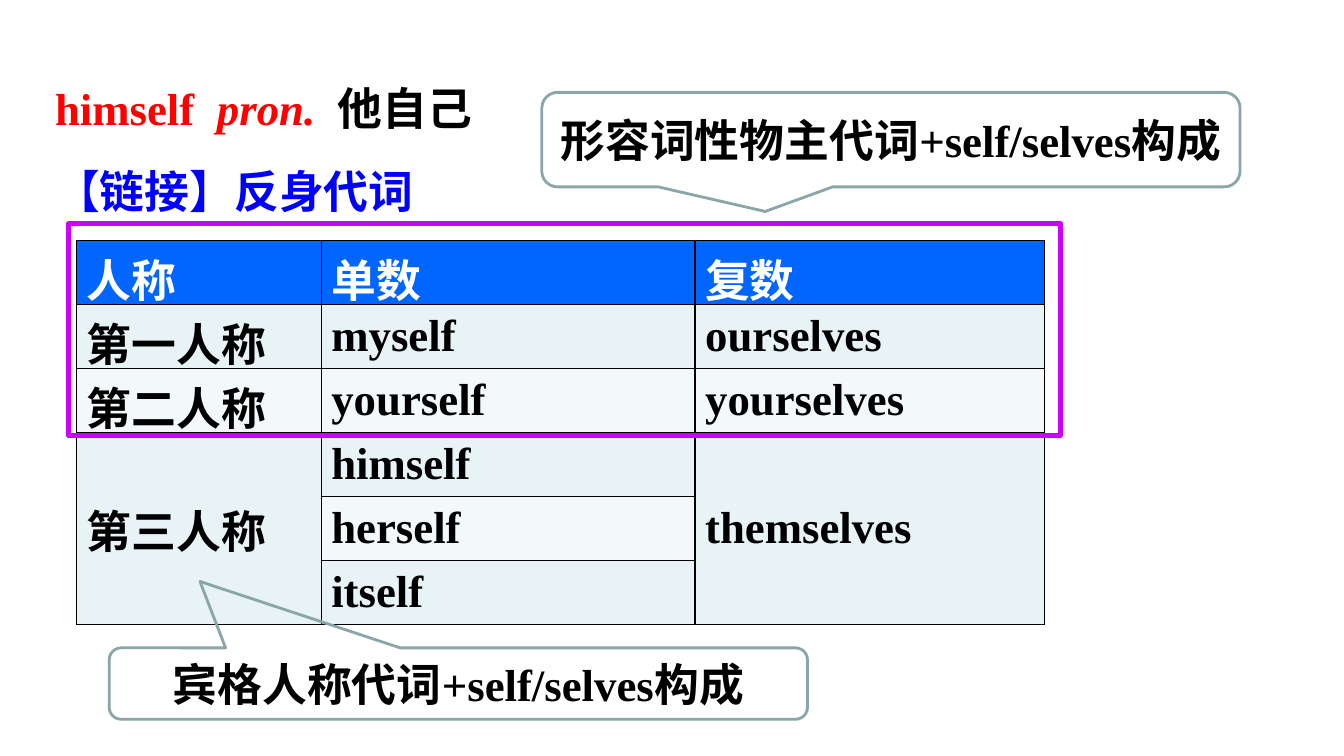
import pptx
import pptx.dml.color
import pptx.enum.shapes
import pptx.enum.text
import pptx.oxml
import pptx.oxml.ns
import pptx.util
from dataclasses import dataclass

PX = 9525  # EMU in one px


@dataclass(frozen=True)
class Theme:
    font: str = "Times New Roman"
    size: int = 32
    black: str = "000000"
    white: str = "FFFFFF"
    red: str = "FF0000"
    blue: str = "0000FF"
    header: str = "0066FF"
    band_dark: str = "E7F3F4"
    band_light: str = "F3F9FA"
    frame: str = "CC00FF"
    callout: str = "8AA6A8"


def px(n):
    return pptx.util.Emu(n * PX)


def rgb(color):
    return pptx.dml.color.RGBColor.from_string(color)


class Deck:
    def __init__(self, theme):
        self.theme = theme
        self.prs = pptx.Presentation()
        self.prs.slide_width, self.prs.slide_height = px(1280), px(720)
        self.s = self.prs.slides.add_slide(self.prs.slide_layouts[6])

    def run(self, p, text, color, italic=False):
        r = p.add_run()
        r.text = text
        r.font.name = self.theme.font
        r.font.size = pptx.util.Pt(self.theme.size)
        r.font.bold, r.font.italic = True, italic
        r.font.color.rgb = rgb(color)

    def text(self, box, runs):
        tf = self.s.shapes.add_textbox(*map(px, box)).text_frame
        tf.word_wrap = True
        tf.auto_size = pptx.enum.text.MSO_AUTO_SIZE.SHAPE_TO_FIT_TEXT
        p = tf.paragraphs[0]
        p.line_spacing = 1.2
        for run in runs:
            self.run(p, *run)

    def outline(self, kind, box, color, width):
        sp = self.s.shapes.add_shape(kind, *map(px, box))
        sp.shadow.inherit = False
        sp.fill.background()
        sp.line.color.rgb = rgb(color)
        sp.line.width = pptx.util.Pt(width)
        return sp

    def callout(self, box, tip, text):
        kind = pptx.enum.shapes.MSO_SHAPE.ROUNDED_RECTANGULAR_CALLOUT
        sp = self.outline(kind, box, self.theme.callout, 2)
        sp.adjustments[0], sp.adjustments[1] = tip
        tf = sp.text_frame
        tf.word_wrap = True
        tf.vertical_anchor = pptx.enum.text.MSO_ANCHOR.MIDDLE
        p = tf.paragraphs[0]
        p.alignment = pptx.enum.text.PP_ALIGN.CENTER
        self.run(p, text, self.theme.black)

    def borders(self, cell):
        tc_pr = cell._tc.get_or_add_tcPr()
        for i, side in enumerate(("lnL", "lnR", "lnT", "lnB")):
            tc_pr.insert(i, pptx.oxml.parse_xml(
                f'<a:{side} {pptx.oxml.ns.nsdecls("a")} w="12700"><a:solidFill>'
                f'<a:srgbClr val="{self.theme.black}"/></a:solidFill></a:{side}>'))

    def table(self, left, top, widths, row_height, rows, merges):
        t = self.theme
        table = self.s.shapes.add_table(
            len(rows), len(widths), px(left), px(top),
            px(sum(widths)), px(row_height * len(rows))).table
        for column, width in zip(table.columns, widths):
            column.width = px(width)
        for i, words in enumerate(rows):
            table.rows[i].height = px(row_height)
            fill = t.header if i == 0 else (t.band_light, t.band_dark)[i % 2]
            for j, word in enumerate(words):
                cell = table.cell(i, j)
                cell.fill.solid()
                cell.fill.fore_color.rgb = rgb(fill)
                cell.vertical_anchor = pptx.enum.text.MSO_ANCHOR.MIDDLE
                self.borders(cell)
                if word:
                    self.run(cell.text_frame.paragraphs[0], word,
                             t.black if i else t.white)
        for first, last in merges:
            table.cell(*first).merge(table.cell(*last))


def main():
    theme = Theme()
    deck = Deck(theme)

    # Headword and link heading
    deck.text((43, 62, 507, 72), [("himself  ", theme.red),
                                  ("pron.  ", theme.red, True),
                                  ("他自己", theme.black)])
    deck.text((43, 141, 952, 66), [("【链接】反身代词", theme.blue)])

    # Reflexive pronouns
    deck.table(73, 229, (233, 356, 333), 61, [
        ("人称", "单数", "复数"),
        ("第一人称", "myself", "ourselves"),
        ("第二人称", "yourself", "yourselves"),
        ("第三人称", "himself", "themselves"),
        ("", "herself", ""),
        ("", "itself", ""),
    ], [((3, 0), (5, 0)), ((3, 2), (5, 2))])

    # Frame around the first and second person
    deck.outline(pptx.enum.shapes.MSO_SHAPE.RECTANGLE,
                 (65, 213, 945, 202), theme.frame, 3.25)

    # How the forms are built
    deck.callout((516, 88, 665, 90), (-0.18, 0.76),
                 "形容词性物主代词+self/selves构成")
    deck.callout((104, 617, 665, 68), (-0.37, -1.43),
                 "宾格人称代词+self/selves构成")

    deck.prs.save("out.pptx")


if __name__ == "__main__":
    main()
